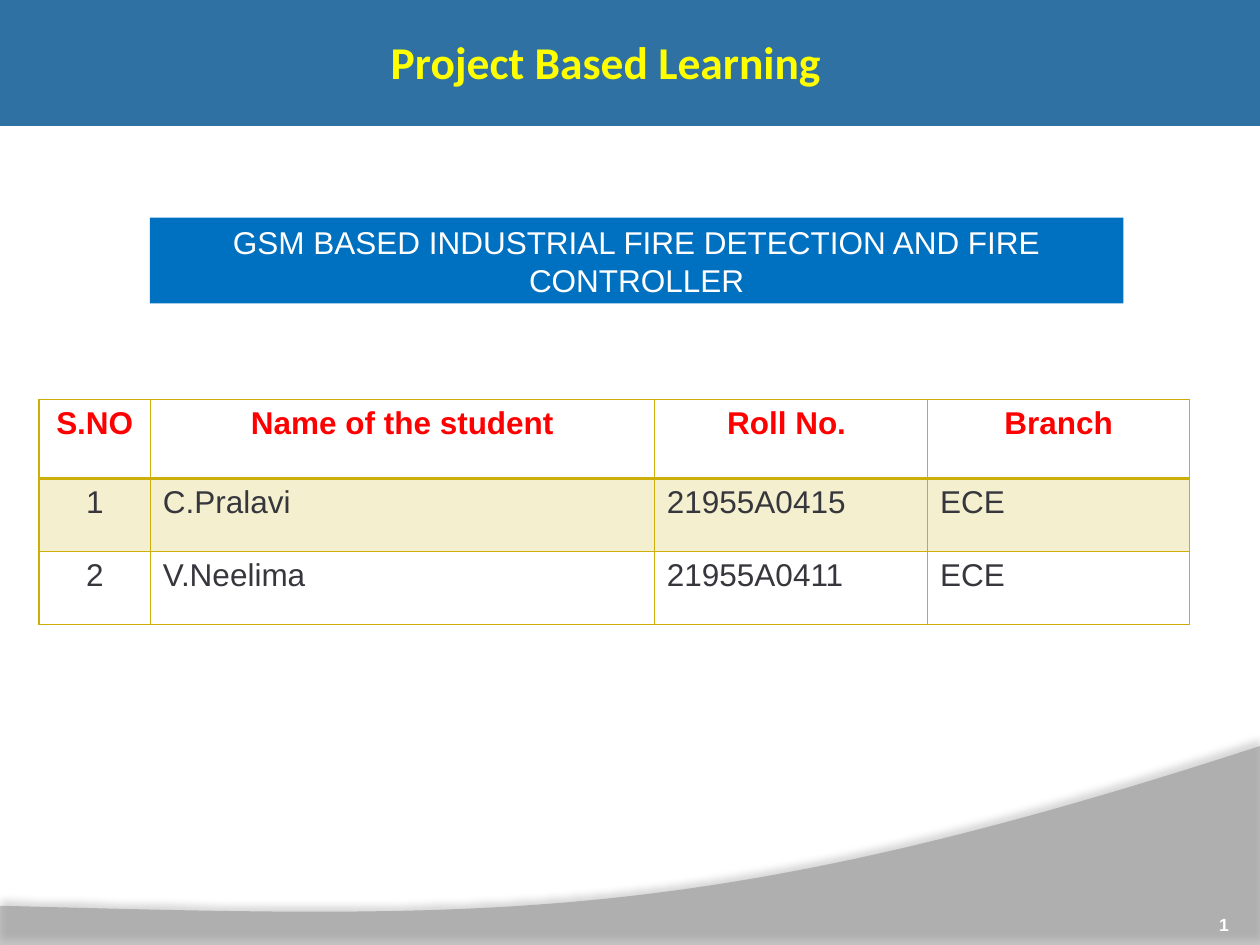
from dataclasses import dataclass

from lxml import etree
from pptx import Presentation
from pptx.dml.color import RGBColor
from pptx.enum.shapes import MSO_SHAPE
from pptx.enum.text import MSO_ANCHOR, PP_ALIGN
from pptx.oxml import parse_xml
from pptx.oxml.ns import nsdecls, qn
from pptx.util import Cm, Pt

LEFT, CENTER, RIGHT = PP_ALIGN.LEFT, PP_ALIGN.CENTER, PP_ALIGN.RIGHT
TOP, BOTTOM = MSO_ANCHOR.TOP, MSO_ANCHOR.BOTTOM
RECTANGLE = MSO_SHAPE.RECTANGLE

WHITE = RGBColor(0xFF, 0xFF, 0xFF)
YELLOW = RGBColor(0xFF, 0xFF, 0x00)
RED = RGBColor(0xFF, 0x00, 0x00)
INK = RGBColor(0x36, 0x36, 0x3D)
GRAY = RGBColor(0x7F, 0x7F, 0x7F)
HEADER_BLUE = RGBColor(0x2F, 0x71, 0xA2)
TOPIC_BLUE = RGBColor(0x00, 0x70, 0xC0)
GOLD = RGBColor(0xCC, 0xAF, 0x0A)

WIDTH, HEIGHT = 25.4, 19.05
WAVE_CURVE = ((25.4, 15.04), (14.2, 18.69), (9.93, 18.52), (0, 18.26))
WAVE_STEPS = 60
ROW_HEIGHTS = (1.6, 1.47, 1.47)


@dataclass(frozen=True)
class TextStyle:
    size: float
    color: RGBColor
    bold: bool = False
    align: PP_ALIGN = LEFT
    font: str = "Arial"


@dataclass(frozen=True)
class Column:
    width: float
    align: PP_ALIGN
    heading: str
    values: tuple[str, ...]


TITLE_STYLE = TextStyle(26, YELLOW, True, CENTER, "Calibri")
TOPIC_STYLE = TextStyle(18, WHITE, align=CENTER)
NUMBER_STYLE = TextStyle(10, WHITE, True, RIGHT)
HEADING_STYLE = TextStyle(18, RED, True, CENTER)

COLUMNS = (
    Column(2.24, CENTER, "S.NO", ("1", "2")),
    Column(10.16, LEFT, "Name of the student", ("C.Pralavi", "V.Neelima")),
    Column(5.51, LEFT, "Roll No. ", ("21955A0415", "21955A0411")),
    Column(5.28, LEFT, "Branch", ("ECE", "ECE")),
)


def write(frame, text: str, style: TextStyle) -> None:
    frame.text = text
    para = frame.paragraphs[0]
    para.alignment = style.align
    font = para.runs[0].font
    font.name, font.size, font.bold = style.font, Pt(style.size), style.bold
    font.color.rgb = style.color


def fill_translucent(fill, element, color: RGBColor, percent: int) -> None:
    fill.solid()
    fill.fore_color.rgb = color
    color_node = element.find(f"{qn('a:solidFill')}/{qn('a:srgbClr')}")
    etree.SubElement(color_node, qn("a:alpha"), val=str(percent * 1000))


def curve_points(curve, steps: int) -> list[tuple[int, int]]:
    """Sample a cubic Bezier curve given in centimetres."""
    points = []
    for step in range(steps + 1):
        t = step / steps
        weights = ((1 - t) ** 3, 3 * t * (1 - t) ** 2, 3 * t**2 * (1 - t), t**3)
        points.append(tuple(
            Cm(sum(weight * point[axis] for weight, point in zip(weights, curve)))
            for axis in (0, 1)
        ))
    return points


def draw_wave(shapes) -> None:
    builder = shapes.build_freeform(Cm(0), Cm(HEIGHT), 1.0)
    corner = (Cm(WIDTH), Cm(HEIGHT))
    builder.add_line_segments([corner, *curve_points(WAVE_CURVE, WAVE_STEPS)])
    wave = builder.convert_to_shape()
    properties = wave.element.spPr
    fill_translucent(wave.fill, properties, GRAY, 45)
    wave.line.fill.background()
    wave.shadow.inherit = False
    properties.find(qn("a:effectLst")).append(parse_xml(
        f'<a:outerShdw {nsdecls("a")} blurRad="{Pt(4)}" dist="{Pt(3.5)}" '
        'dir="16200000" algn="ctr" rotWithShape="0">'
        '<a:srgbClr val="000000"><a:alpha val="35000"/></a:srgbClr></a:outerShdw>'
    ))


def draw_bar(shapes, left: float, top: float, width: float, height: float,
             color: RGBColor):
    bar = shapes.add_shape(RECTANGLE, Cm(left), Cm(top), Cm(width), Cm(height))
    bar.fill.solid()
    bar.fill.fore_color.rgb = color
    bar.line.fill.background()
    bar.shadow.inherit = False
    return bar


def place_title(title, header) -> None:
    """Put the title placeholder in front of the header bar."""
    header.element.addnext(title.element)
    title.left, title.top = Cm(0.79), Cm(0.56)
    title.width, title.height = Cm(23.06), Cm(1.32)
    write(title.text_frame, "Project Based Learning ", TITLE_STYLE)
    title.text_frame.vertical_anchor = TOP


def draw_slide_number(shapes) -> None:
    box = shapes.add_textbox(Cm(22.66), Cm(17.83), Cm(2.11), Cm(1.02))
    frame = box.text_frame
    frame.word_wrap = True
    frame.vertical_anchor = BOTTOM
    frame.margin_left = frame.margin_right = Cm(0)
    frame.margin_top = frame.margin_bottom = Cm(0)
    write(frame, "1", NUMBER_STYLE)


def set_borders(cell, is_heading: bool) -> None:
    properties = cell._tc.get_or_add_tcPr()
    for side in ("L", "R", "T", "B"):
        points = 2 if is_heading and side == "B" else 1
        properties.append(parse_xml(
            f'<a:ln{side} {nsdecls("a")} w="{Pt(points)}"><a:solidFill>'
            f'<a:srgbClr val="{GOLD}"/></a:solidFill></a:ln{side}>'
        ))


def draw_student_table(shapes) -> None:
    width = sum(column.width for column in COLUMNS)
    table = shapes.add_table(
        len(ROW_HEIGHTS), len(COLUMNS),
        Cm(0.79), Cm(8.05), Cm(width), Cm(sum(ROW_HEIGHTS)),
    ).table
    table.first_row = table.horz_banding = False
    for row, height in zip(table.rows, ROW_HEIGHTS):
        row.height = Cm(height)
    for column_index, column in enumerate(COLUMNS):
        table.columns[column_index].width = Cm(column.width)
        body_style = TextStyle(18, INK, align=column.align)
        for row_index, text in enumerate((column.heading, *column.values)):
            cell = table.cell(row_index, column_index)
            is_heading = row_index == 0
            write(cell.text_frame, text, HEADING_STYLE if is_heading else body_style)
            set_borders(cell, is_heading)
            if row_index % 2:
                fill_translucent(cell.fill, cell._tc.tcPr, GOLD, 20)
            else:
                cell.fill.background()


def main() -> None:
    deck = Presentation()
    deck.slide_width, deck.slide_height = Cm(WIDTH), Cm(HEIGHT)
    page = deck.slides.add_slide(deck.slide_layouts[5])
    shapes = page.shapes
    draw_wave(shapes)
    header = draw_bar(shapes, 0, 0, WIDTH, 2.54, HEADER_BLUE)
    place_title(shapes.title, header)
    draw_slide_number(shapes)
    topic = draw_bar(shapes, 3.02, 4.39, 19.63, 1.73, TOPIC_BLUE)
    topic.text_frame.word_wrap = True
    write(topic.text_frame,
          "GSM BASED INDUSTRIAL FIRE DETECTION AND FIRE CONTROLLER", TOPIC_STYLE)
    draw_student_table(shapes)
    deck.save("out.pptx")


if __name__ == "__main__":
    main()
